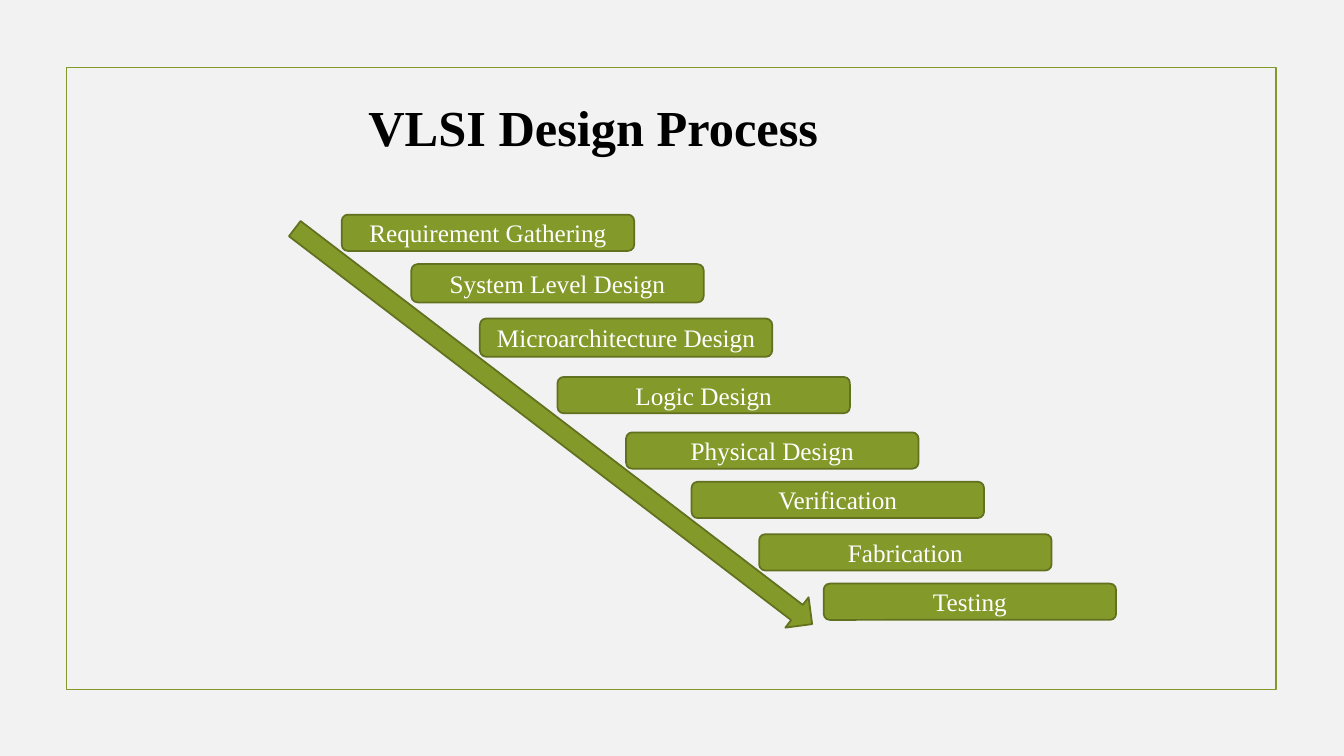
import dataclasses

import pptx
import pptx.dml.color
import pptx.enum.shapes
import pptx.enum.text
import pptx.shapes.autoshape
import pptx.slide
import pptx.text.text
import pptx.util

Inches = pptx.util.Inches
RGBColor = pptx.dml.color.RGBColor
Shape = pptx.enum.shapes.MSO_SHAPE

BACKGROUND = RGBColor(0xF2, 0xF2, 0xF2)
OLIVE = RGBColor(0x83, 0x99, 0x2A)
DARK_OLIVE = RGBColor(0x61, 0x71, 0x1F)
BLACK = RGBColor(0, 0, 0)
WHITE = RGBColor(0xFF, 0xFF, 0xFF)

FONT = "Times New Roman"
STAGE_WIDTH = 2.9


@dataclasses.dataclass(frozen=True)
class Stage:
    name: str
    left: float
    top: float
    height: float = 0.36


STAGES = [
    Stage("Requirement Gathering", 3.39, 2.13),
    Stage("System Level Design", 4.08, 2.62, 0.38),
    Stage("Microarchitecture Design", 4.76, 3.16, 0.38),
    Stage("Logic Design", 5.53, 3.74),
    Stage("Physical Design", 6.21, 4.29),
    Stage("Verification", 6.86, 4.78),
    Stage("Fabrication", 7.53, 5.3),
    Stage("Testing", 8.17, 5.79),
]


def add_outlined_shape(
    page: pptx.slide.Slide,
    kind: Shape,
    left: float,
    top: float,
    width: float,
    height: float,
    line: RGBColor,
    fill: RGBColor | None = None,
) -> pptx.shapes.autoshape.Shape:
    """Add a shape without shadow; it stays hollow when no fill is given."""
    shape = page.shapes.add_shape(
        kind, Inches(left), Inches(top), Inches(width), Inches(height)
    )
    shape.shadow.inherit = False
    if fill is None:
        shape.fill.background()
    else:
        shape.fill.solid()
        shape.fill.fore_color.rgb = fill
    shape.line.color.rgb = line
    shape.line.width = pptx.util.Pt(1.25)
    return shape


def set_centred_text(
    frame: pptx.text.text.TextFrame,
    text: str,
    size: int,
    color: RGBColor,
    bold: bool = False,
) -> None:
    frame.text = text
    frame.word_wrap = True
    para = frame.paragraphs[0]
    para.alignment = pptx.enum.text.PP_ALIGN.CENTER
    font = para.runs[0].font
    font.name = FONT
    font.size = pptx.util.Pt(size)
    font.bold = bold
    font.color.rgb = color


def add_title(page: pptx.slide.Slide) -> None:
    box = page.shapes.add_textbox(
        Inches(0.62), Inches(0.9), Inches(10.53), Inches(0.71)
    )
    set_centred_text(box.text_frame, "VLSI Design Process", 36, BLACK, bold=True)
    box.text_frame.auto_size = pptx.enum.text.MSO_AUTO_SIZE.SHAPE_TO_FIT_TEXT


def add_stage(page: pptx.slide.Slide, stage: Stage) -> None:
    box = add_outlined_shape(
        page, Shape.ROUNDED_RECTANGLE, stage.left, stage.top,
        STAGE_WIDTH, stage.height, DARK_OLIVE, OLIVE,
    )
    set_centred_text(box.text_frame, stage.name, 18, WHITE)
    box.text_frame.vertical_anchor = pptx.enum.text.MSO_ANCHOR.MIDDLE


def main() -> None:
    deck = pptx.Presentation()
    deck.slide_width = Inches(13.33)
    deck.slide_height = Inches(7.5)
    page = deck.slides.add_slide(deck.slide_layouts[6])
    page.background.fill.solid()
    page.background.fill.fore_color.rgb = BACKGROUND

    add_outlined_shape(page, Shape.RECTANGLE, 0.66, 0.67, 12, 6.17, OLIVE)
    add_title(page)
    for stage in STAGES:
        add_stage(page, stage)
    arrow = add_outlined_shape(
        page, Shape.DOWN_ARROW, 5.3, 1, 0.38, 6.46, DARK_OLIVE, OLIVE
    )
    arrow.rotation = 307.4

    deck.save("out.pptx")


if __name__ == "__main__":
    main()
